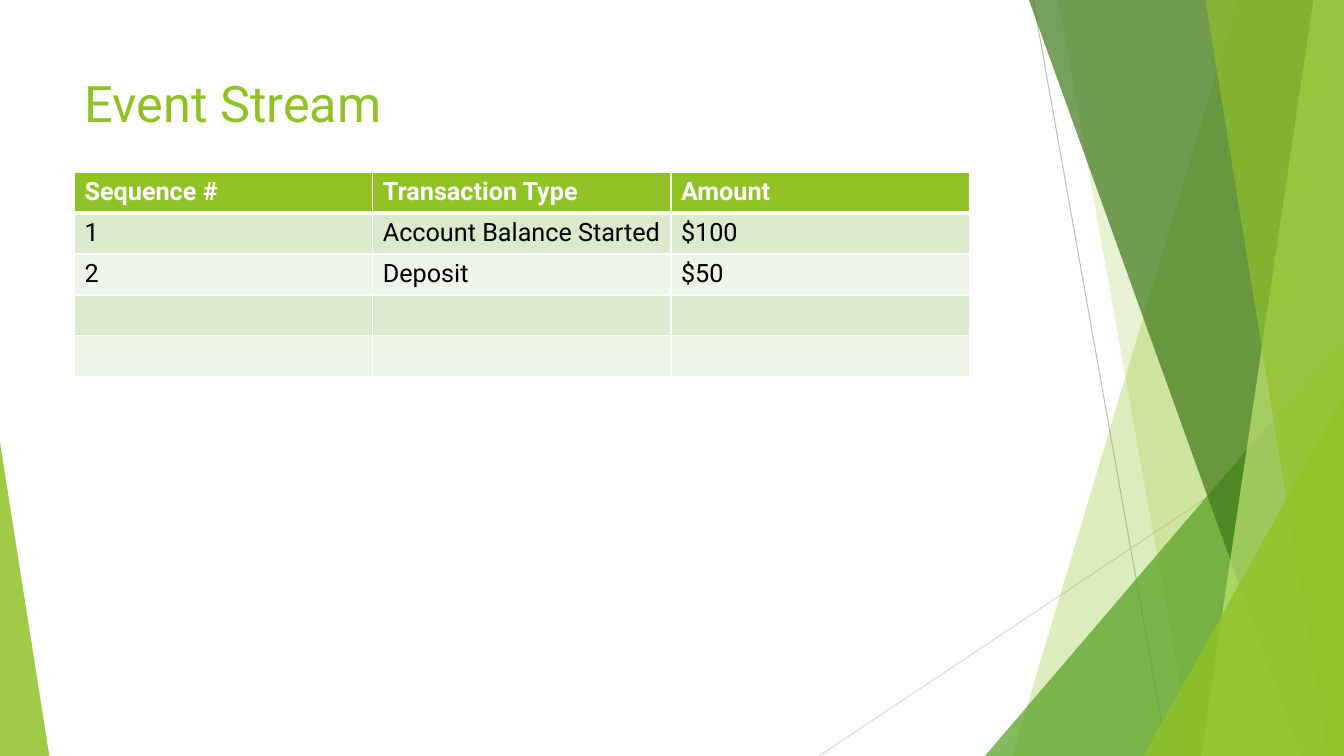
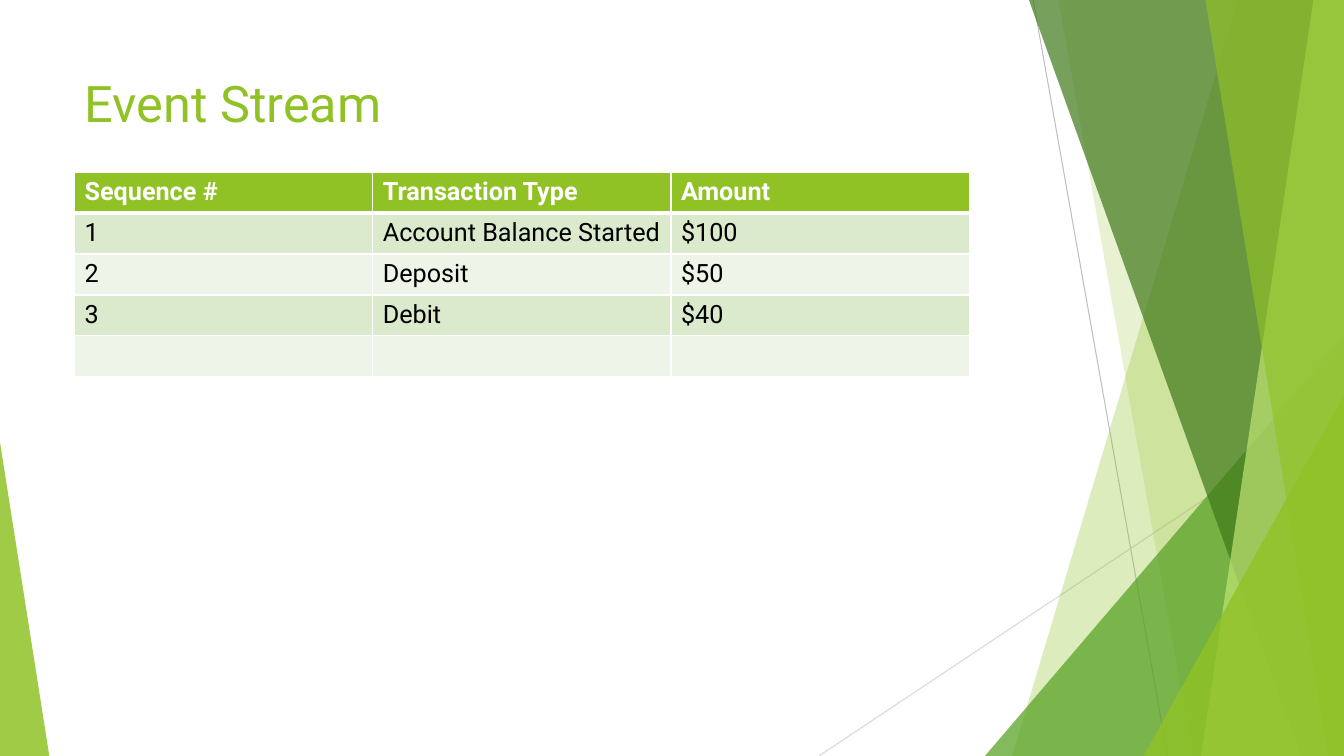
from pptx import Presentation
from pptx import util as u
from pptx.dml.color import RGBColor
from pptx.enum import shapes, text
from pptx.oxml import ns
from lxml import etree

PX = 9525  # EMU in one px
WIDTH, HEIGHT = 1280, 720
FONT = "Roboto"

WHITE = RGBColor(0xFF, 0xFF, 0xFF)
BLACK = RGBColor(0x00, 0x00, 0x00)
LIME = RGBColor(0x90, 0xC2, 0x26)
PALE_LIME = RGBColor(0xC0, 0xE4, 0x74)
GREEN = RGBColor(0x54, 0xA0, 0x21)
DARK_GREEN = RGBColor(0x3F, 0x78, 0x19)
ROW_BANDS = (RGBColor(0xDB, 0xE9, 0xCD), RGBColor(0xEE, 0xF4, 0xE8))
GREY = RGBColor(0xBF, 0xBF, 0xBF)
LIGHT_GREY = RGBColor(0xD9, 0xD9, 0xD9)

TITLE = "Event Stream"
HEADINGS = ("Sequence #", "Transaction Type", "Amount")
EVENTS = (
    ("1", "Account Balance Started", "$100"),
    ("2", "Deposit", "$50"),
    ("3", "Debit", "$40"),
)
EVENTS_SHOWN = (2, 3)  # one slide for each count
BODY_ROWS = 4

TITLE_BOX = (71, 64, 902, 138)
TABLE_LEFT, TABLE_TOP, COLUMN_WIDTH, ROW_HEIGHT = 71, 164, 284, 39

# Start x, start y, end x, end y, colour
RAYS = ((984, 0, 1112, 720, GREY), (1280, 387, 780, 720, LIGHT_GREY))
# From back to front. A band reaches the right edge: top x, bottom x.
# A triangle has left, top, width, height and the place of its apex.
FACETS = (
    ("band", (1179, 964), LIME, 30),
    ("band", (1008, 1136), LIME, 20),
    ("triangle", (938, 320, 342, 400, 1), GREEN, 72),
    ("band", (980, 1239), DARK_GREEN, 70),
    ("band", (1251, 1144), PALE_LIME, 70),
    ("band", (1148, 1265), LIME, 65),
    ("triangle", (1089, 377, 191, 343, 1), LIME, 80),
    ("triangle", (0, 421, 47, 299, 0), LIME, 85),
)


def px(*lengths):
    return [length * PX for length in lengths]


def add_ray(slide, x1, y1, x2, y2, colour):
    ray = slide.shapes.add_connector(shapes.MSO_CONNECTOR.STRAIGHT, *px(x1, y1, x2, y2))
    ray.line.color.rgb = colour
    ray.line.width = u.Pt(0.75)
    etree.SubElement(ray.element.spPr, ns.qn("a:effectLst"))
    return ray


def add_facet(slide, kind, geometry, colour, opacity):
    if kind == "band":
        top_x, bottom_x = geometry
        outline = slide.shapes.build_freeform(top_x, 0, scale=PX)
        outline.add_line_segments([(WIDTH, 0), (WIDTH, HEIGHT), (bottom_x, HEIGHT)])
        facet = outline.convert_to_shape()
    else:
        *box, apex = geometry
        facet = slide.shapes.add_shape(shapes.MSO_SHAPE.ISOSCELES_TRIANGLE, *px(*box))
        facet.adjustments[0] = apex
    facet.shadow.inherit = False
    facet.line.fill.background()
    facet.fill.solid()
    facet.fill.fore_color.rgb = colour
    tint = facet.element.spPr.find(ns.qn("a:solidFill"))[0]
    etree.SubElement(tint, ns.qn("a:alpha"), val=str(opacity * 1000))
    return facet


def prepare_layout(layout, slide):
    """Place the title and move the shared artwork, drawn on slide, to the layout."""
    for placeholder in list(layout.placeholders):
        if placeholder.placeholder_format.type == shapes.PP_PLACEHOLDER.TITLE:
            (placeholder.left, placeholder.top,
             placeholder.width, placeholder.height) = px(*TITLE_BOX)
        else:
            layout.shapes.element.remove(placeholder.element)
    artwork = [add_ray(slide, *ray) for ray in RAYS]
    artwork += [add_facet(slide, *facet) for facet in FACETS]
    for part in artwork:
        layout.shapes.element.append(part.element)


def style_font(paragraph, size, colour, bold=False):
    paragraph.font.name = FONT
    paragraph.font.size = u.Pt(size)
    paragraph.font.color.rgb = colour
    paragraph.font.bold = bold


def add_borders(cell, top, bottom):
    properties = cell._tc.get_or_add_tcPr()
    for side, points in (("L", 1), ("R", 1), ("T", top), ("B", bottom)):
        border = etree.SubElement(properties, ns.qn(f"a:ln{side}"), w=str(u.Pt(points)))
        fill = etree.SubElement(border, ns.qn("a:solidFill"))
        etree.SubElement(fill, ns.qn("a:srgbClr"), val=str(WHITE))


def add_events_table(slide, events):
    blank = ("",) * len(HEADINGS)
    rows = [HEADINGS, *events] + [blank] * (BODY_ROWS - len(events))
    table = slide.shapes.add_table(
        len(rows), len(HEADINGS),
        *px(TABLE_LEFT, TABLE_TOP, COLUMN_WIDTH * len(HEADINGS), ROW_HEIGHT * len(rows)),
    ).table
    for r, row in enumerate(rows):
        header = r == 0
        for c, value in enumerate(row):
            cell = table.cell(r, c)
            cell.text = value
            style_font(cell.text_frame.paragraphs[0], 18, WHITE if header else BLACK, header)
            add_borders(cell, top=3 if r == 1 else 1, bottom=3 if header else 1)
            cell.fill.solid()
            cell.fill.fore_color.rgb = LIME if header else ROW_BANDS[(r - 1) % 2]


def add_title(slide):
    frame = slide.shapes.title.text_frame
    frame.text = TITLE
    frame.vertical_anchor = text.MSO_ANCHOR.TOP
    heading = frame.paragraphs[0]
    heading.alignment = text.PP_ALIGN.LEFT
    style_font(heading, 36, LIME)


def main():
    deck = Presentation()
    deck.slide_width, deck.slide_height = px(WIDTH, HEIGHT)
    layout = deck.slide_layouts.get_by_name("Title Only")
    slides = [deck.slides.add_slide(layout) for _ in EVENTS_SHOWN]
    prepare_layout(layout, slides[0])
    for slide, count in zip(slides, EVENTS_SHOWN):
        add_title(slide)
        add_events_table(slide, EVENTS[:count])
    deck.save("out.pptx")


if __name__ == "__main__":
    main()
